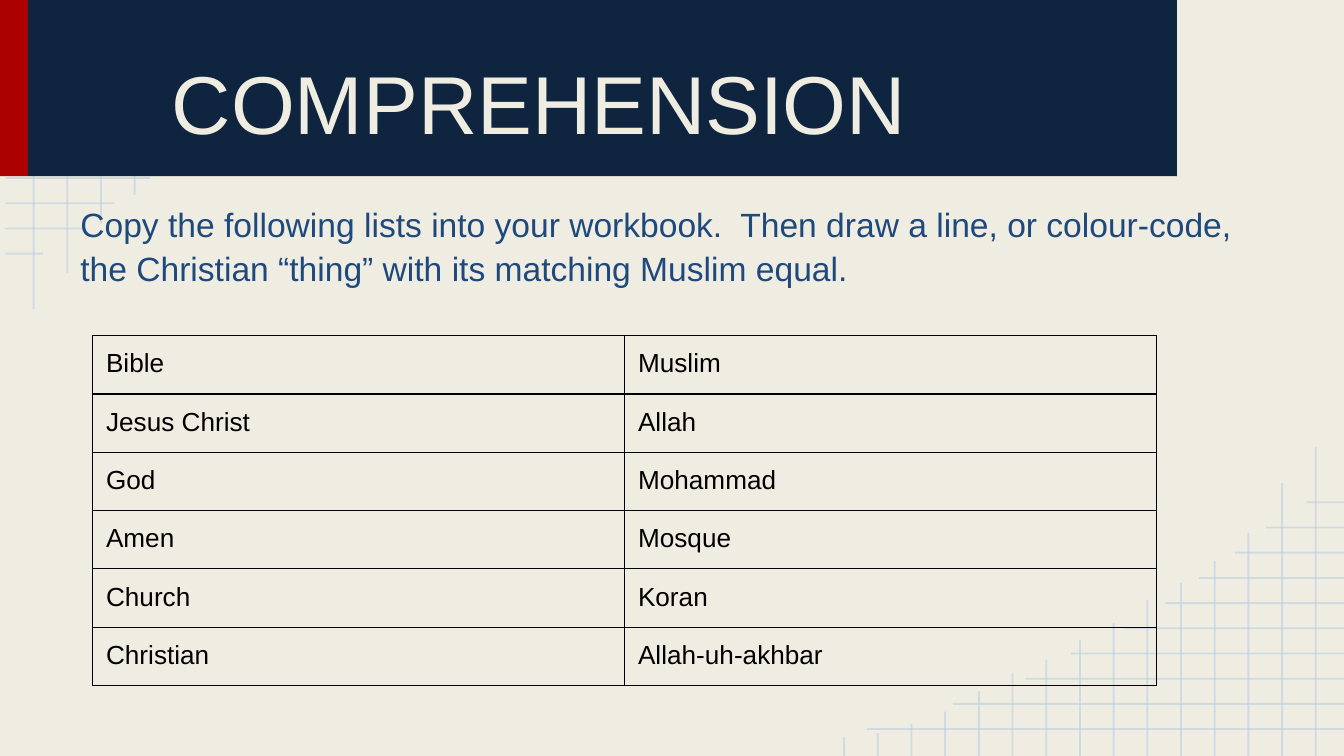
from lxml.etree import SubElement
from pptx import Presentation
from pptx.dml.color import RGBColor
from pptx.enum.shapes import MSO_CONNECTOR, MSO_SHAPE
from pptx.enum.text import MSO_ANCHOR, MSO_AUTO_SIZE, PP_ALIGN
from pptx.oxml import parse_xml
from pptx.oxml.ns import nsdecls, qn
from pptx.util import Pt

COLORS = {
    "background": "EFEDE2",
    "grid": "B7CCE4",
    "red": "AB0101",
    "navy": "0F243E",
    "body": "1F497D",
    "black": "000000",
}
WIDTH, HEIGHT = 720, 405
INSET = 7.2

# Lengths of the grid lines, counted outward from the corner
ROW_ENDS = [258.5, 212.4, 173.5, 149, 120.2, 98.6, 80.6, 61.2, 44.6, 23]
COLUMN_ENDS = [165.6, 146.2, 119.5, 104.4, 92.9, 83.5, 71.3, 61.9,
               51.8, 44.6, 34.6, 23.8, 17.3, 12.2, 10]
GRID_LEFT, GRID_TOP = 2.9, 14.4
COLUMN_LEFT, COLUMN_STEP, ROW_STEP = 18, 18.05, 13.5

PAIRS = [
    ("Bible", "Muslim"),
    ("Jesus Christ", "Allah"),
    ("God", "Mohammad"),
    ("Amen", "Mosque"),
    ("Church", "Koran"),
    ("Christian", "Allah-uh-akhbar"),
]


def color(name):
    return RGBColor.from_string(COLORS[name])


def format_text(para, size, color_name):
    para.alignment = PP_ALIGN.LEFT
    for span in para.runs:
        span.font.name = "Arial"
        span.font.size = Pt(size)
        span.font.color.rgb = color(color_name)


def set_insets(target, left=INSET):
    target.margin_left = Pt(left)
    target.margin_top = target.margin_right = target.margin_bottom = Pt(INSET)


def add_grid_line(page, x1, y1, x2, y2):
    line = page.shapes.add_connector(
        MSO_CONNECTOR.STRAIGHT, Pt(x1), Pt(y1), Pt(x2), Pt(y2))
    line.line.width = Pt(1)
    line.line.color.rgb = color("grid")
    properties = line.element.spPr
    tint = next(properties.iter(qn("a:srgbClr")))
    SubElement(tint, qn("a:alpha"), val="54000")
    SubElement(properties, qn("a:effectLst"))


def add_corner_grids(page):
    """Draw the top-left grid and its half-turn in the bottom-right corner."""
    lines = []
    for index, end in enumerate(ROW_ENDS):
        y = GRID_TOP + index * ROW_STEP
        lines.append((GRID_LEFT, y, end, y))
    for index, end in enumerate(COLUMN_ENDS):
        x = COLUMN_LEFT + index * COLUMN_STEP
        lines.append((x, end, x, 0))
    for line in lines:
        add_grid_line(page, *line)
    turn_x = WIDTH + GRID_LEFT
    for x1, y1, x2, y2 in lines:
        add_grid_line(page, turn_x - x1, HEIGHT - y1, turn_x - x2, HEIGHT - y2)


def add_band(page, left, width, color_name):
    band = page.shapes.add_shape(
        MSO_SHAPE.RECTANGLE, Pt(left), Pt(0), Pt(width), Pt(94.4))
    band.shadow.inherit = False
    band.fill.solid()
    band.fill.fore_color.rgb = color(color_name)
    band.line.fill.background()


def place_title(page, text):
    title = page.shapes.title
    title.left, title.top, title.width, title.height = Pt(36), Pt(8), Pt(576), Pt(80)
    frame = title.text_frame
    frame.text = text
    frame.auto_size = MSO_AUTO_SIZE.NONE
    frame.vertical_anchor = MSO_ANCHOR.BOTTOM
    set_insets(frame, left=56)
    format_text(frame.paragraphs[0], 44, "background")
    # Bring the title in front of the bands
    title.element.getparent().append(title.element)


def add_instructions(page, text):
    box = page.shapes.add_textbox(Pt(36), Pt(100.8), Pt(648), Pt(62))
    frame = box.text_frame
    frame.word_wrap = True
    set_insets(frame)
    frame.text = text
    para = frame.paragraphs[0]
    para.line_spacing = 1.07
    format_text(para, 18, "body")


def add_borders(cell):
    properties = cell._tc.get_or_add_tcPr()
    for position, side in enumerate(("lnL", "lnR", "lnT", "lnB")):
        properties.insert(position, parse_xml(
            f'<a:{side} {nsdecls("a")} w="{Pt(0.75)}"><a:solidFill>'
            f'<a:srgbClr val="{COLORS["black"]}"/></a:solidFill></a:{side}>'))


def add_matching_table(page, pairs):
    row_height, column_width = 30.1, 285
    table = page.shapes.add_table(
        len(pairs), 2, Pt(49.6), Pt(179.8),
        Pt(2 * column_width), Pt(len(pairs) * row_height)).table
    table.first_row = table.horz_banding = False
    for column in table.columns:
        column.width = Pt(column_width)
    for row, pair in zip(table.rows, pairs):
        row.height = Pt(row_height)
        for cell, text in zip(row.cells, pair):
            cell.text = text
            set_insets(cell)
            cell.fill.background()
            add_borders(cell)
            format_text(cell.text_frame.paragraphs[0], 14, "black")


def main():
    deck = Presentation()
    deck.slide_width, deck.slide_height = Pt(WIDTH), Pt(HEIGHT)
    page = deck.slides.add_slide(deck.slide_layouts.get_by_name("Title Only"))
    page.background.fill.solid()
    page.background.fill.fore_color.rgb = color("background")

    add_corner_grids(page)
    add_band(page, 0, 15, "red")
    add_band(page, 15, 615.5, "navy")
    place_title(page, "COMPREHENSION")
    add_instructions(
        page,
        "Copy the following lists into your workbook.  Then draw a line, or "
        "colour-code, the Christian “thing” with its matching Muslim equal.")
    add_matching_table(page, PAIRS)
    deck.save("out.pptx")


if __name__ == "__main__":
    main()
